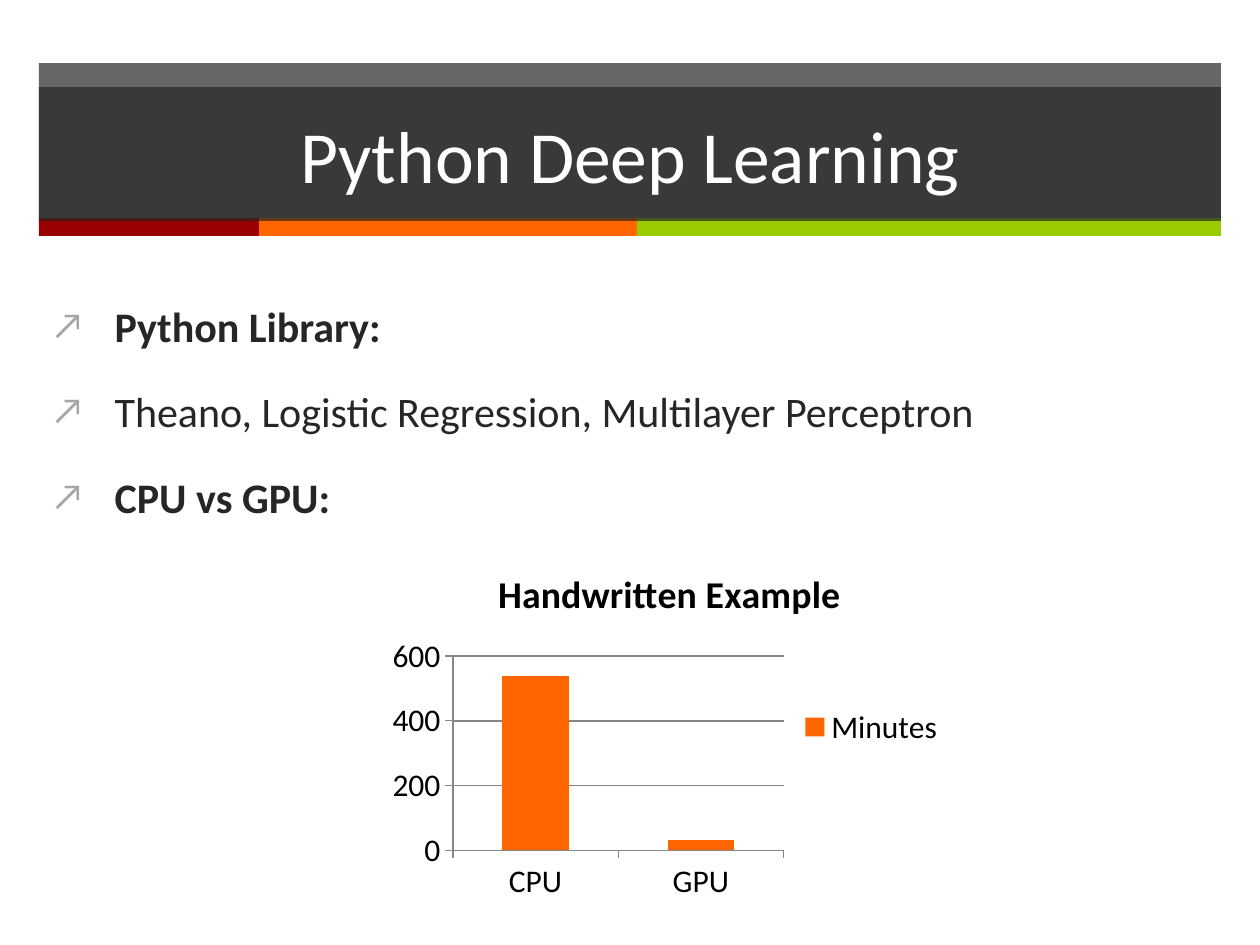
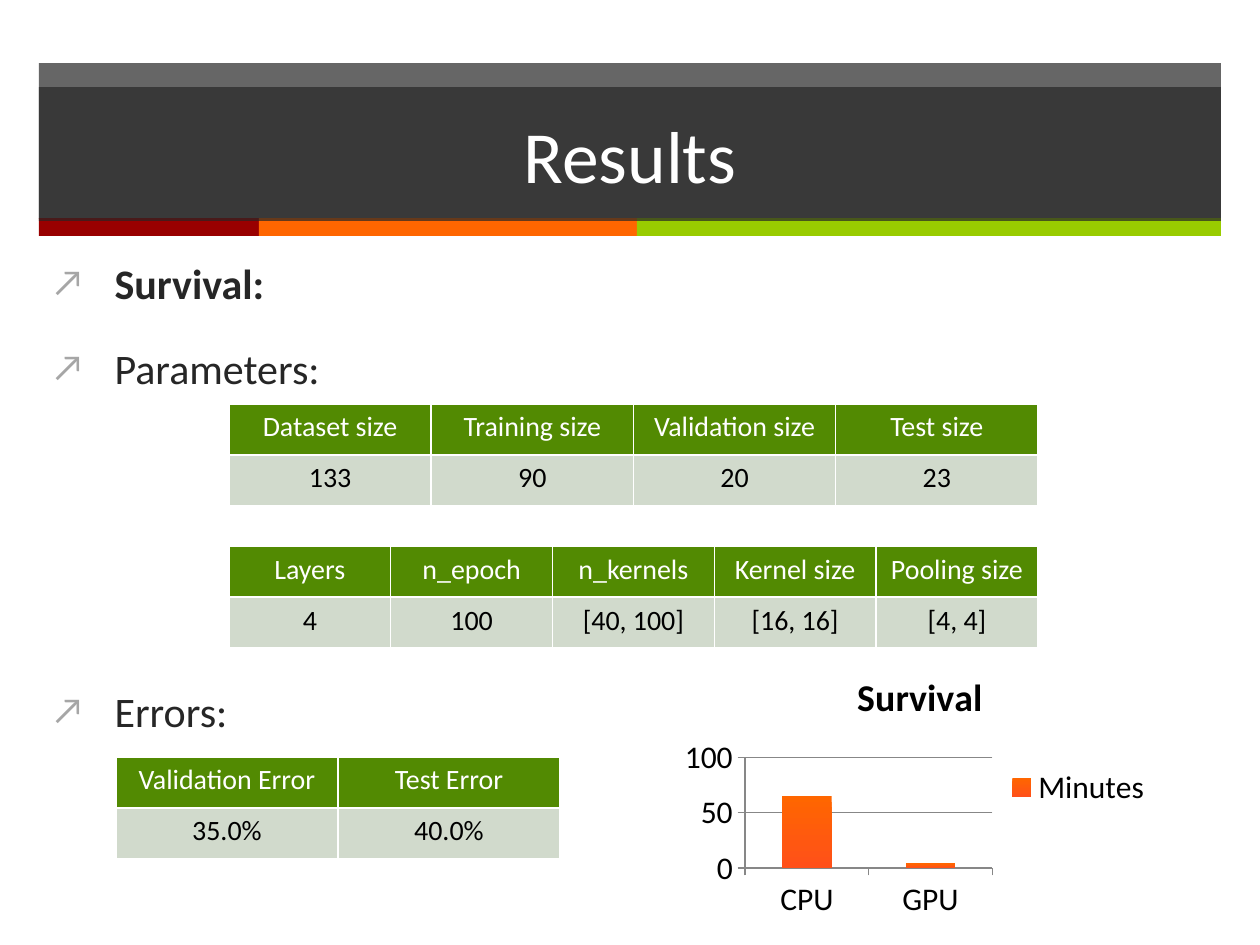
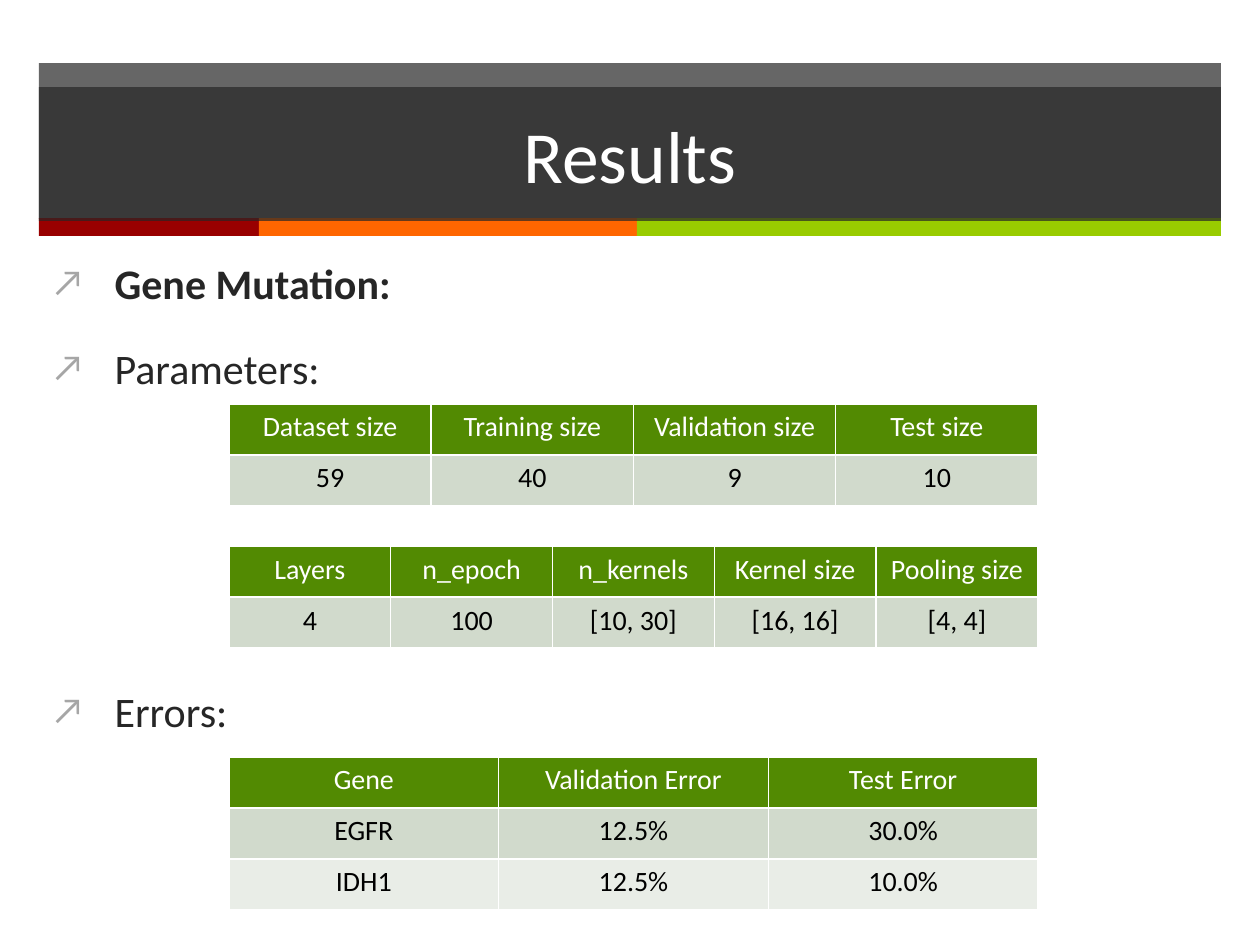
"""Build three slides on deep learning results with charts and parameter tables."""
from lxml.etree import SubElement
from pptx import Presentation
from pptx.chart.data import CategoryChartData
from pptx.dml.color import RGBColor
from pptx.enum.chart import XL_CHART_TYPE, XL_LEGEND_POSITION, XL_TICK_MARK
from pptx.enum.shapes import MSO_SHAPE
from pptx.enum.text import MSO_ANCHOR, MSO_AUTO_SIZE, PP_ALIGN
from pptx.oxml.ns import qn
from pptx.util import Emu, Pt

FONT = "Calibri"
DARK, RED, ORANGE, LIME = "262626", "990000", "FF6600", "99CC00"
WHITE, BLACK, GREY, BULLET = "FFFFFF", "000000", "878787", "A6A6A6"
HEADER, ROWS = "528A02", ("E9EDE7", "D1DACC")
LEFT, WIDTH, ROW_H = 39, 1182, 51
TITLE_FONT = {"name": FONT, "size": Pt(42), "bold": False}
BODY_FONT = {"name": FONT, "size": Pt(24)}
CELL_FONT = {"name": FONT, "size": Pt(16), "bold": False}
CHART_FONT = {"name": FONT, "size": Pt(18), "bold": False}
CHART_TITLE_FONT = {"name": FONT, "size": Pt(21.6), "bold": True}
TITLE_FRAME = {"vertical_anchor": MSO_ANCHOR.MIDDLE, "word_wrap": True,
               "auto_size": MSO_AUTO_SIZE.NONE}
BODY_FRAME = TITLE_FRAME | {"vertical_anchor": MSO_ANCHOR.TOP}

SIZES = ["Dataset size", "Training size", "Validation size", "Test size"]
NETWORK = ["Layers", "n_epoch", "n_kernels", "Kernel size", "Pooling size"]
SIZES_AT, NETWORK_AT, ERRORS_AT = (229, 404, 809), (229, 546, 809), (229, 757, 809)
RESULTS_BODY = (LEFT, 251, 1126, 658)
DECK = [
    {"title": "Python Deep Learning", "body": (LEFT, 294, 975, 551),
     "items": [("Python Library:", True, 20),
               ("Theano, Logistic Regression, Multilayer Perceptron", False, 20),
               ("CPU vs GPU:", True, 20)],
     "tables": [],
     "charts": [("Handwritten Example", (381, 546, 577, 362), (540, 30), 600, 200, None)]},
    {"title": "Results", "body": RESULTS_BODY,
     "items": [("Survival:", True, 20), ("Parameters:", False, 20), ("Errors:", False, 167)],
     "tables": [(SIZES_AT, [SIZES, ["133", "90", "20", "23"]]),
                (NETWORK_AT, [NETWORK, ["4", "100", "[40, 100]", "[16, 16]", "[4, 4]"]]),
                ((116, 757, 444), [["Validation Error", "Test Error"], ["35.0%", "40.0%"]])],
     "charts": [("Survival", (675, 651, 490, 273), (65, 4), 100, 50, "FF5019")]},
    {"title": "Results", "body": RESULTS_BODY,
     "items": [("Gene Mutation:", True, 20), ("Parameters:", False, 20),
               ("Errors:", False, 167)],
     "tables": [(SIZES_AT, [SIZES, ["59", "40", "9", "10"]]),
                (NETWORK_AT, [NETWORK, ["4", "100", "[10, 30]", "[16, 16]", "[4, 4]"]]),
                (ERRORS_AT, [["Gene", "Validation Error", "Test Error"],
                             ["EGFR", "12.5%", "30.0%"], ["IDH1", "12.5%", "10.0%"]])],
     "charts": []},
]


def px(*values):
    """Turn pixel lengths into a list of EMU."""
    return [Emu(round(v * 914400 / 126)) for v in values]


def rgb(color, value):
    """Set a colour format from a hex string."""
    color.rgb = RGBColor.from_string(value)


prs = Presentation()
prs.slide_width, prs.slide_height = px(1260, 945)
layout = prs.slide_layouts[1]
slides = [prs.slides.add_slide(layout) for _ in DECK]
veils = []

bands = [(LEFT, 63, WIDTH, 156, DARK), (LEFT, 218, 220, 18, RED),
         (259, 218, 378, 18, ORANGE), (637, 218, 584, 18, LIME)]
for i, (*box, color) in enumerate(bands):
    sp = slides[0].shapes.add_shape(MSO_SHAPE.RECTANGLE, *px(*box))
    sp.shadow.inherit = False
    sp.fill.solid()
    rgb(sp.fill.fore_color, color)
    sp.line.fill.background()
    sp.element.nvSpPr.cNvPr.id = 20 + i
    layout.shapes.element.insert(2 + i, sp.element)
    if color == DARK:
        veils.append(sp)

for s, page in zip(slides, DECK):
    title, body = s.shapes.title, s.placeholders[1]
    for sp, box, frame in ((title, (LEFT, 87, WIDTH, 134), TITLE_FRAME),
                           (body, page["body"], BODY_FRAME)):
        sp.left, sp.top, sp.width, sp.height = px(*box)
        for k, v in frame.items():
            setattr(sp.text_frame, k, v)
    title.fill.solid()
    rgb(title.fill.fore_color, DARK)
    veils.append(title)
    p = title.text_frame.paragraphs[0]
    p.alignment = PP_ALIGN.CENTER
    r = p.add_run()
    r.text = page["title"]
    for k, v in TITLE_FONT.items():
        setattr(r.font, k, v)
    rgb(r.font.color, WHITE)

    tf = body.text_frame
    for i, (text, bold, gap) in enumerate(page["items"]):
        p = tf.add_paragraph() if i else tf.paragraphs[0]
        p.space_before = Pt(gap)
        r = p.add_run()
        r.text = text
        for k, v in (BODY_FONT | {"bold": bold}).items():
            setattr(r.font, k, v)
        rgb(r.font.color, DARK)
        pPr = p._p.get_or_add_pPr()
        pPr.set("marL", "457200")
        pPr.set("indent", "-457200")
        SubElement(SubElement(pPr, qn("a:buClr")), qn("a:srgbClr"), val=BULLET)
        SubElement(pPr, qn("a:buSzPct"), val="90000")
        SubElement(pPr, qn("a:buFont"), typeface=FONT)
        SubElement(pPr, qn("a:buChar"), char="↗")

    for (x, y, w), rows in page["tables"]:
        box = px(x, y, w, ROW_H * len(rows))
        table = s.shapes.add_table(len(rows), len(rows[0]), *box).table
        for i, row in enumerate(rows):
            for j, text in enumerate(row):
                cell = table.cell(i, j)
                tcPr = cell._tc.get_or_add_tcPr()
                for side in "LRTB":
                    ln = SubElement(tcPr, qn(f"a:ln{side}"), w="12700")
                    fill = SubElement(ln, qn("a:solidFill"))
                    SubElement(fill, qn("a:srgbClr"), val=WHITE)
                cell.fill.solid()
                rgb(cell.fill.fore_color, ROWS[i % 2] if i else HEADER)
                p = cell.text_frame.paragraphs[0]
                p.alignment = PP_ALIGN.CENTER
                r = p.add_run()
                r.text = text
                for k, v in CELL_FONT.items():
                    setattr(r.font, k, v)
                rgb(r.font.color, BLACK if i else WHITE)

    for name, box, minutes, top, step, fade in page["charts"]:
        data = CategoryChartData()
        data.categories = ["CPU", "GPU"]
        data.add_series("Minutes", minutes)
        chart = s.shapes.add_chart(XL_CHART_TYPE.COLUMN_CLUSTERED, *px(*box), data).chart
        chart.has_title = True
        r = chart.chart_title.text_frame.paragraphs[0].add_run()
        r.text = name
        for font, fmt in ((chart.font, CHART_FONT), (r.font, CHART_TITLE_FONT)):
            for k, v in fmt.items():
                setattr(font, k, v)
            rgb(font.color, BLACK)
        chart.has_legend = True
        chart.legend.position = XL_LEGEND_POSITION.RIGHT
        chart.legend.include_in_layout = False
        val, cat = chart.value_axis, chart.category_axis
        for k, v in {"minimum_scale": 0, "maximum_scale": top, "major_unit": step,
                     "has_major_gridlines": True}.items():
            setattr(val, k, v)
        for axis in (val, cat):
            axis.major_tick_mark = XL_TICK_MARK.OUTSIDE
        for line in (val.format.line, cat.format.line, val.major_gridlines.format.line):
            rgb(line.color, GREY)
            line.width = Pt(0.75)
        plot = chart.plots[0]
        plot.gap_width, plot.vary_by_categories = 150, False
        fill = plot.series[0].format.fill
        if fade:
            fill.gradient()
            fill.gradient_angle = 270
            for stop, color in zip(fill.gradient_stops, (ORANGE, fade)):
                rgb(stop.color, color)
        else:
            fill.solid()
            rgb(fill.fore_color, ORANGE)

for sp in veils:
    color = sp.element.spPr.find(qn("a:solidFill")).find(qn("a:srgbClr"))
    SubElement(color, qn("a:alpha"), val="70000")

prs.save("out.pptx")
